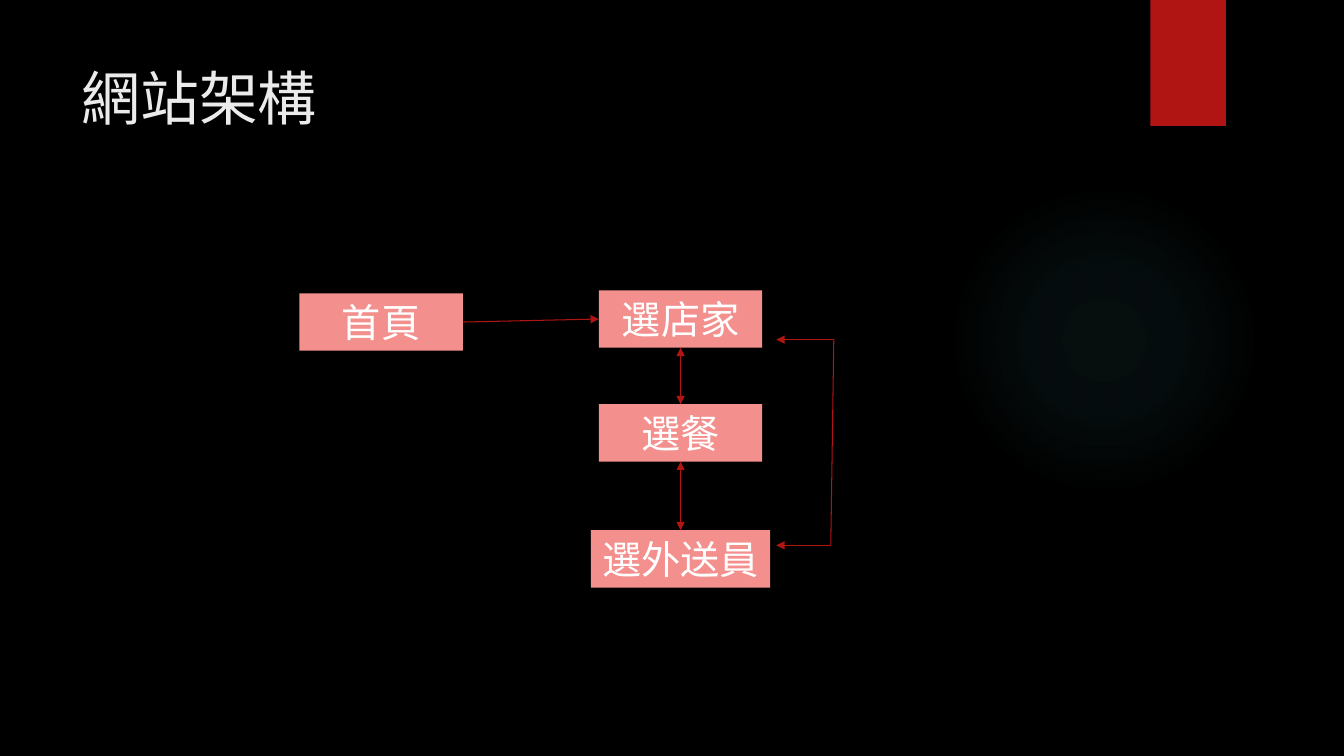
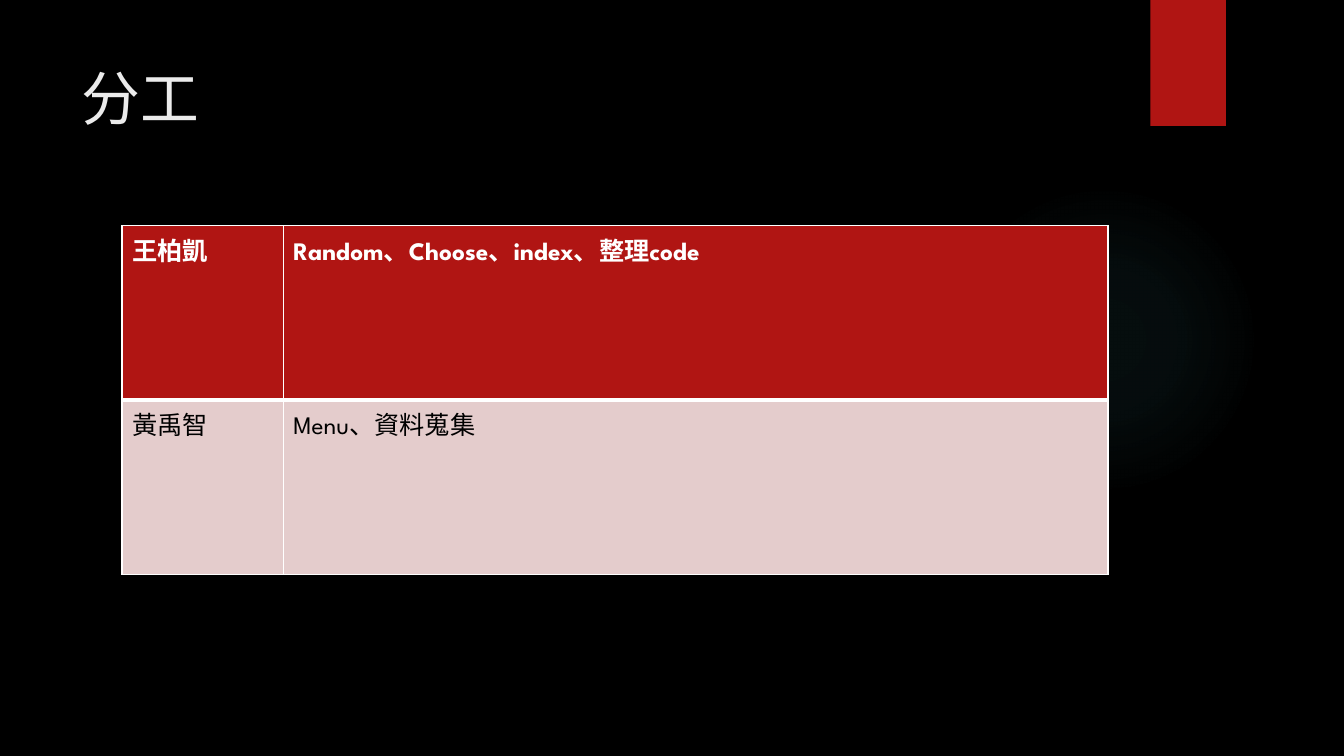
from dataclasses import dataclass
from itertools import pairwise

from lxml import etree
from pptx import Presentation
from pptx.dml.color import RGBColor
from pptx.enum import shapes, text
from pptx.oxml import parse_xml
from pptx.oxml.ns import nsdecls, qn
from pptx.util import Inches, Pt

BLACK = RGBColor(0x00, 0x00, 0x00)
WHITE = RGBColor(0xFF, 0xFF, 0xFF)
OFF_WHITE = RGBColor(0xEB, 0xEB, 0xEB)
RED = RGBColor(0xB0, 0x15, 0x13)
SALMON = RGBColor(0xF3, 0x8F, 0x8D)
PALE_PINK = RGBColor(0xE4, 0xCC, 0xCC)
TEAL = RGBColor(0x50, 0xB9, 0xC1)
FONT = "League Spartan"
GLOW_STOPS = ((0, 7), (36, 6), (69, 0))
STEP_HEIGHT = 0.57


@dataclass(frozen=True)
class Step:
    label: str
    center_x: float
    top: float
    width: float = 1.62


@dataclass(frozen=True)
class Link:
    start: int
    start_side: int
    end: int
    end_side: int
    two_way: bool = False


@dataclass(frozen=True)
class Duty:
    member: str
    tasks: str
    fill: RGBColor
    color: RGBColor
    bold: bool
    top_border: float
    bottom_border: float


STEPS = (
    Step("首頁", 3.78, 2.91),
    Step("選店家", 6.75, 2.88),
    Step("選餐", 6.75, 4.01),
    Step("選外送員", 6.75, 5.26, 1.78),
)
LINKS = (Link(0, 3, 1, 1), Link(1, 2, 2, 0, True), Link(2, 2, 3, 0, True))
RETURN_ROUTE = ((7.7, 3.37), (8.27, 3.37), (8.24, 5.41), (7.7, 5.41))
DUTIES = (
    Duty("王柏凱", "Random、Choose、index、整理code", RED, WHITE, True, 1, 3),
    Duty("黃禹智", "Menu、資料蒐集", PALE_PINK, BLACK, False, 3, 1),
)


def add_run(paragraph, words: str, size: float, color: RGBColor, bold: bool = False) -> None:
    run = paragraph.add_run()
    run.text = words
    run.font.name = FONT
    run.font.size = Pt(size)
    run.font.bold = bold
    run.font.color.rgb = color


def add_block(slide, kind, left: float, top: float, width: float, height: float, fill: RGBColor):
    block = slide.shapes.add_shape(kind, Inches(left), Inches(top), Inches(width), Inches(height))
    block.shadow.inherit = False
    block.fill.solid()
    block.fill.fore_color.rgb = fill
    block.line.fill.background()
    return block


def add_glow(slide) -> None:
    glow = add_block(slide, shapes.MSO_SHAPE.OVAL, 9.41, 1.83, 3.08, 3.08, TEAL)
    stops = "".join(
        f'<a:gs pos="{pos * 1000}"><a:srgbClr val="{TEAL}">'
        f'<a:alpha val="{alpha * 1000}"/></a:srgbClr></a:gs>'
        for pos, alpha in GLOW_STOPS
    )
    gradient = parse_xml(
        f'<a:gradFill {nsdecls("a")}><a:gsLst>{stops}</a:gsLst><a:path path="circle">'
        '<a:fillToRect l="50000" t="50000" r="50000" b="50000"/></a:path></a:gradFill>'
    )
    properties = glow.element.spPr
    properties.replace(properties.find(qn("a:solidFill")), gradient)


def add_themed_slide(prs, title: str):
    slide = prs.slides.add_slide(prs.slide_layouts[6])
    slide.background.fill.solid()
    slide.background.fill.fore_color.rgb = BLACK
    add_glow(slide)
    add_block(slide, shapes.MSO_SHAPE.RECTANGLE, 11.41, 0, 0.75, 1.25, RED)
    heading = slide.shapes.add_textbox(Inches(0.71), Inches(0.5), Inches(9), Inches(0.93))
    frame = heading.text_frame
    frame.word_wrap = True
    frame.vertical_anchor = text.MSO_ANCHOR.MIDDLE
    add_run(frame.paragraphs[0], title, 42, OFF_WHITE)
    return slide


def add_step(slide, step: Step):
    box = add_block(slide, shapes.MSO_SHAPE.RECTANGLE, step.center_x - step.width / 2,
                    step.top, step.width, STEP_HEIGHT, SALMON)
    frame = box.text_frame
    frame.word_wrap = False
    frame.vertical_anchor = text.MSO_ANCHOR.MIDDLE
    frame.paragraphs[0].alignment = text.PP_ALIGN.CENTER
    add_run(frame.paragraphs[0], step.label, 28, WHITE)
    return box


def add_line(slide, start: tuple[float, float], end: tuple[float, float],
             head: bool = False, tail: bool = False):
    line = slide.shapes.add_connector(shapes.MSO_CONNECTOR.STRAIGHT,
                                      *(Inches(value) for value in (*start, *end)))
    line.line.color.rgb = RED
    line.line.width = Pt(0.75)
    properties = line.element.spPr
    for tag, shown in (("a:headEnd", head), ("a:tailEnd", tail)):
        if shown:
            etree.SubElement(properties.find(qn("a:ln")), qn(tag), type="triangle")
    etree.SubElement(properties, qn("a:effectLst"))
    return line


def add_border(cell, side: str, width: float) -> None:
    cell.fill._xPr.append(parse_xml(
        f'<a:{side} {nsdecls("a")} w="{Pt(width)}"><a:solidFill>'
        f'<a:srgbClr val="{WHITE}"/></a:solidFill></a:{side}>'
    ))


def fill_cell(cell, words: str, duty: Duty) -> None:
    borders = (("lnL", 1), ("lnR", 1), ("lnT", duty.top_border), ("lnB", duty.bottom_border))
    for side, width in borders:
        add_border(cell, side, width)
    cell.fill.solid()
    cell.fill.fore_color.rgb = duty.fill
    add_run(cell.text_frame.paragraphs[0], words, 18, duty.color, duty.bold)


def build_site_structure(prs) -> None:
    slide = add_themed_slide(prs, "網站架構")
    boxes = [add_step(slide, step) for step in STEPS]
    for link in LINKS:
        arrow = add_line(slide, (0, 0), (0, 0), link.two_way, True)
        arrow.begin_connect(boxes[link.start], link.start_side)
        arrow.end_connect(boxes[link.end], link.end_side)
    for start, end in pairwise(RETURN_ROUTE):
        add_line(slide, start, end, start == RETURN_ROUTE[0], end == RETURN_ROUTE[-1])


def build_division_of_work(prs) -> None:
    slide = add_themed_slide(prs, "分工")
    duties = slide.shapes.add_table(len(DUTIES), 2, Inches(1.21), Inches(2.24),
                                    Inches(9.78), Inches(3.46)).table
    duties.first_row = False
    duties.horz_banding = False
    for column, width in zip(duties.columns, (1.6, 8.18)):
        column.width = Inches(width)
    for row, duty in zip(duties.rows, DUTIES):
        for cell, words in zip(row.cells, (duty.member, duty.tasks)):
            fill_cell(cell, words, duty)


def main() -> None:
    prs = Presentation()
    prs.slide_width = Inches(13.33)
    prs.slide_height = Inches(7.5)
    build_site_structure(prs)
    build_division_of_work(prs)
    prs.save("out.pptx")


if __name__ == "__main__":
    main()
